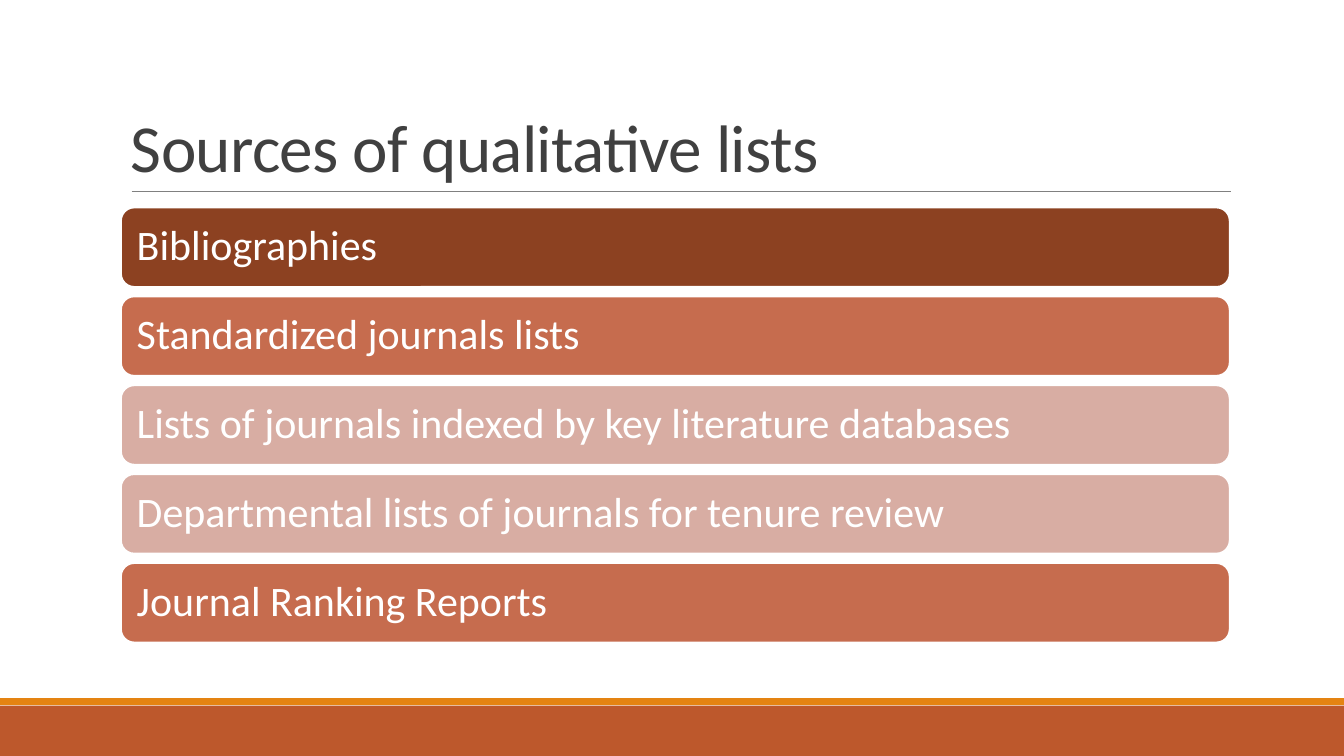
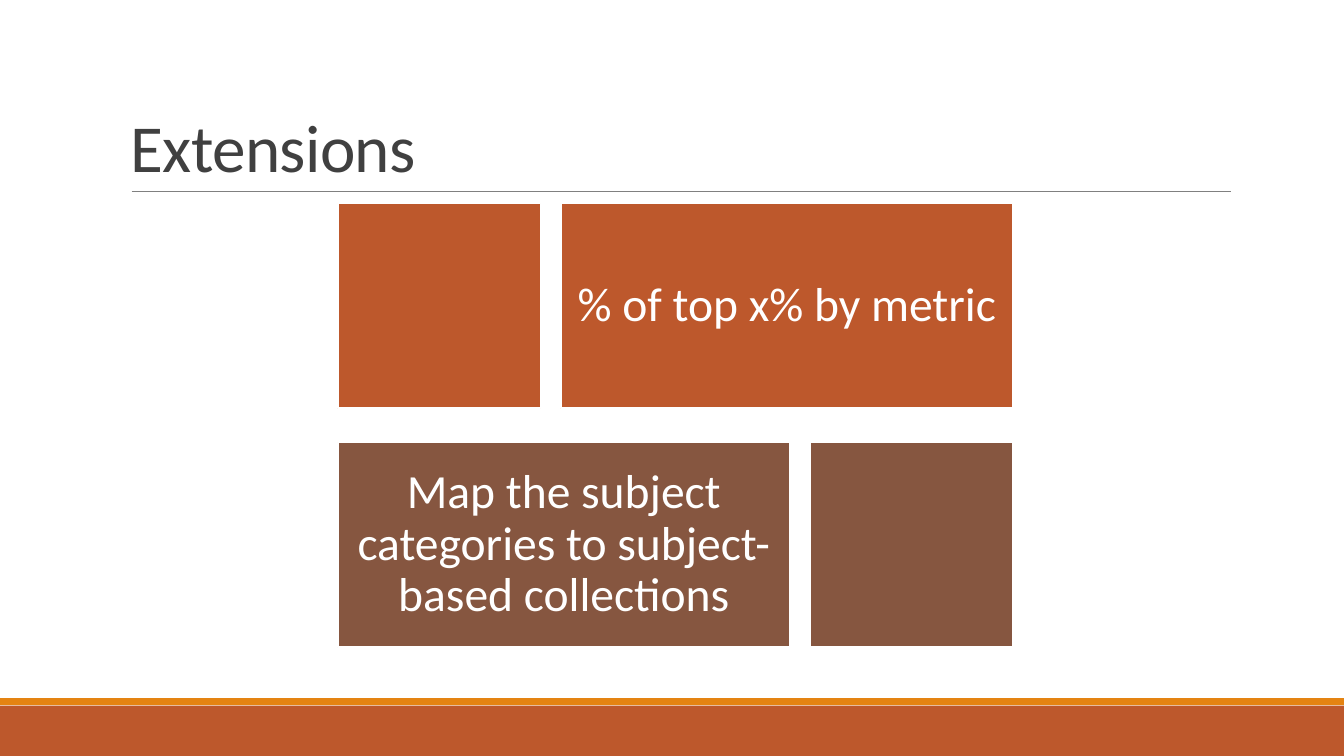
from dataclasses import dataclass

from pptx import Presentation
from pptx.dml.color import RGBColor
from pptx.enum.shapes import MSO_CONNECTOR, MSO_SHAPE
from pptx.enum.text import MSO_ANCHOR, PP_ALIGN
from pptx.oxml.ns import qn
from pptx.util import Cm, Pt
from lxml import etree

RECTANGLE = MSO_SHAPE.RECTANGLE
ROUNDED = MSO_SHAPE.ROUNDED_RECTANGLE
STRAIGHT = MSO_CONNECTOR.STRAIGHT
MIDDLE, BOTTOM = MSO_ANCHOR.MIDDLE, MSO_ANCHOR.BOTTOM
LEFT, CENTER = PP_ALIGN.LEFT, PP_ALIGN.CENTER


@dataclass(frozen=True)
class Theme:
    font: str = "Calibri"
    white: str = "FFFFFF"
    title: str = "404040"
    rule: str = "808080"
    rust: str = "BD582C"
    orange: str = "E48312"
    brown: str = "865640"
    dark_rust: str = "8C4121"
    light_rust: str = "C66C4E"
    pale_rust: str = "D8ADA3"
    title_size: float = 48
    bar_size: float = 30
    block_size: float = 34
    outline: float = 1.25


THEME = Theme()
SLIDE_WIDTH, SLIDE_HEIGHT = 33.87, 19.05
CONTENT_LEFT, CONTENT_WIDTH = 3.05, 27.94


class Deck:
    """Holds the presentation, its style and the slide being built."""

    def __init__(self, theme):
        self.theme = theme
        self.presentation = Presentation()
        self.presentation.slide_width = Cm(SLIDE_WIDTH)
        self.presentation.slide_height = Cm(SLIDE_HEIGHT)
        self.slide = None

    def add_slide(self, title):
        layout = self.presentation.slide_layouts[6]
        self.slide = self.presentation.slides.add_slide(layout)
        self.box(RECTANGLE, 0, 17.78, SLIDE_WIDTH, 1.27, self.theme.rust)
        self.box(RECTANGLE, 0, 17.59, SLIDE_WIDTH, 0.18, self.theme.orange)
        self.rule(3.32, 31.02, 4.83)
        self.title(title)

    def title(self, text):
        shape = self.slide.shapes.add_textbox(
            Cm(CONTENT_LEFT), Cm(0.8), Cm(CONTENT_WIDTH), Cm(4.03))
        shape.text_frame.vertical_anchor = BOTTOM
        run = self.add_text(shape, text, self.theme.title_size,
                            self.theme.title, LEFT, 0.85)
        run._r.get_or_add_rPr().set("spc", "-50")

    def rule(self, left, right, top):
        line = self.slide.shapes.add_connector(
            STRAIGHT, Cm(left), Cm(top), Cm(right), Cm(top))
        line.line.color.rgb = RGBColor.from_string(self.theme.rule)
        line.line.width = Pt(0.5)
        etree.SubElement(line._element.spPr, qn("a:effectLst"))

    def box(self, kind, left, top, width, height, fill, outlined=False):
        shape = self.slide.shapes.add_shape(
            kind, Cm(left), Cm(top), Cm(width), Cm(height))
        shape.shadow.inherit = False
        shape.fill.solid()
        shape.fill.fore_color.rgb = RGBColor.from_string(fill)
        if outlined:
            shape.line.color.rgb = RGBColor.from_string(self.theme.white)
            shape.line.width = Pt(self.theme.outline)
        else:
            shape.line.fill.background()
        return shape

    def label(self, shape, text, size, alignment, inset):
        frame = shape.text_frame
        frame.vertical_anchor = MIDDLE
        frame.margin_left = frame.margin_right = Cm(inset)
        frame.margin_top = frame.margin_bottom = Cm(inset)
        self.add_text(shape, text, size, self.theme.white, alignment, 0.9)

    def add_text(self, shape, text, size, color, alignment, line_spacing):
        shape.text_frame.word_wrap = True
        paragraph = shape.text_frame.paragraphs[0]
        paragraph.alignment = alignment
        paragraph.line_spacing = line_spacing
        run = paragraph.add_run()
        run.text = text
        run.font.name = self.theme.font
        run.font.size = Pt(size)
        run.font.color.rgb = RGBColor.from_string(color)
        return run

    def bars(self, items):
        """Stack full-width rounded bars at an even pitch."""
        top, height, pitch = 5.23, 2.0, 2.24
        for index, (text, fill) in enumerate(items):
            bar = self.box(ROUNDED, CONTENT_LEFT, top + index * pitch,
                           CONTENT_WIDTH, height, fill, outlined=True)
            self.label(bar, text, self.theme.bar_size, LEFT, 0.3)

    def blocks(self, items):
        """Pair a wide text block with a small one, swapping sides each row."""
        left, top, gap = 8.51, 5.13, 0.51
        wide, small, height, pitch = 11.4, 5.11, 5.16, 6.02
        for index, (text, fill) in enumerate(items):
            row_top = top + index * pitch
            if index % 2 == 0:
                small_left, wide_left = left, left + small + gap
            else:
                wide_left, small_left = left, left + wide + gap
            block = self.box(RECTANGLE, wide_left, row_top, wide, height, fill,
                             outlined=True)
            self.label(block, text, self.theme.block_size, CENTER, 0.35)
            self.box(RECTANGLE, small_left, row_top, small, height, fill,
                     outlined=True)


def main():
    deck = Deck(THEME)

    deck.add_slide("Sources of qualitative lists")
    deck.bars([
        ("Bibliographies", THEME.dark_rust),
        ("Standardized journals lists", THEME.light_rust),
        ("Lists of journals indexed by key literature databases",
         THEME.pale_rust),
        ("Departmental lists of journals for tenure review", THEME.pale_rust),
        ("Journal Ranking Reports", THEME.light_rust),
    ])

    deck.add_slide("Extensions")
    deck.blocks([
        ("% of top x% by metric", THEME.rust),
        ("Map the subject categories to subject-based collections",
         THEME.brown),
    ])

    deck.presentation.save("out.pptx")


if __name__ == "__main__":
    main()
